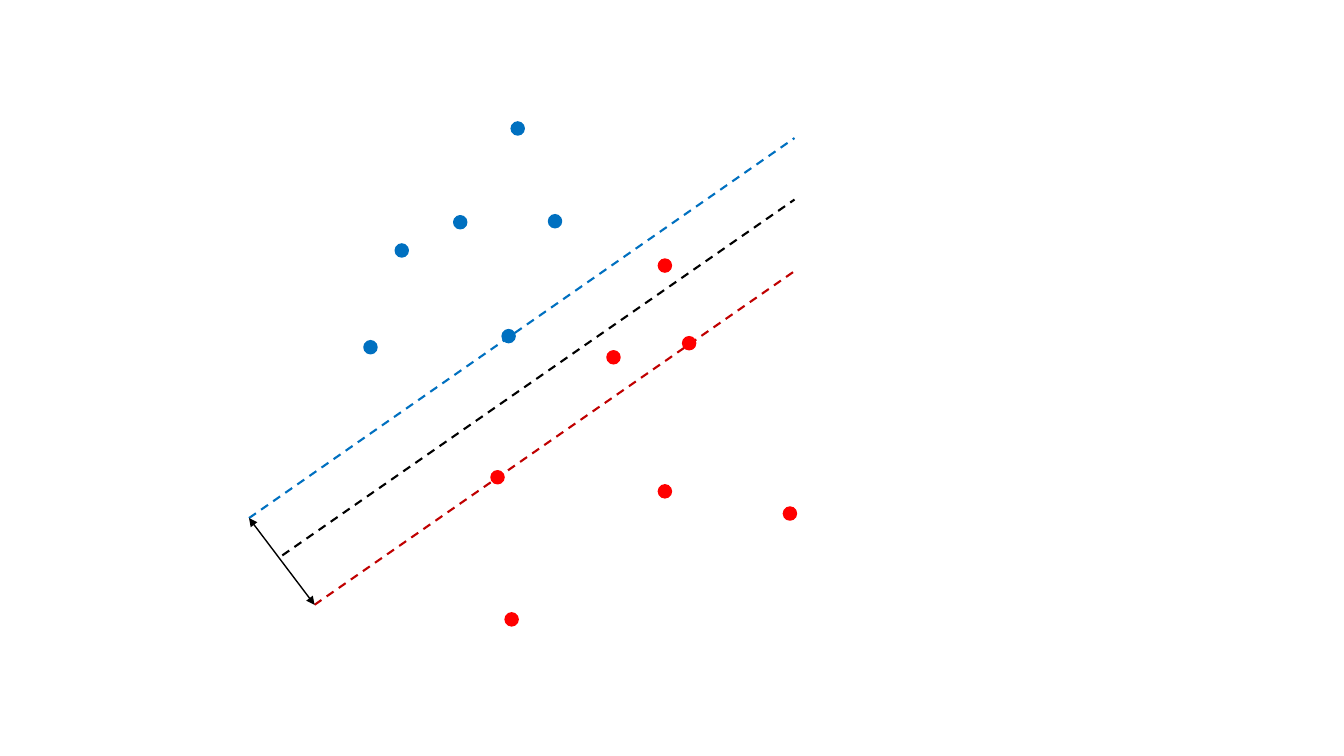
from dataclasses import dataclass

from lxml import etree
from pptx import Presentation
from pptx.dml.color import RGBColor
from pptx.enum import dml, shapes
from pptx.oxml import ns
from pptx.util import Inches, Pt


@dataclass(frozen=True)
class Theme:
    blue: str = "0070C0"
    red: str = "FF0000"
    dark_red: str = "C00000"
    black: str = "000000"
    boundary_width: float = 1.5
    thin_width: float = 1
    point_size: float = 0.13


class MarginDiagram:
    def __init__(self, slide, theme):
        self.slide = slide
        self.theme = theme

    def outline(self, line, color, width):
        line.color.rgb = RGBColor.from_string(color)
        line.width = Pt(width)

    def segment(self, start, end, color, width):
        connector = self.slide.shapes.add_connector(
            shapes.MSO_CONNECTOR.STRAIGHT, *map(Inches, (*start, *end))
        )
        self.outline(connector.line, color, width)
        etree.SubElement(connector._element.spPr, ns.qn("a:effectLst"))
        return connector

    def boundary(self, start, end, color):
        boundary = self.segment(start, end, color, self.theme.boundary_width)
        boundary.line.dash_style = dml.MSO_LINE.DASH

    def margin_arrow(self, start, end):
        arrow = self.segment(start, end, self.theme.black, self.theme.thin_width)
        stroke = arrow.line._get_or_add_ln()
        for tip in ("a:headEnd", "a:tailEnd"):
            etree.SubElement(stroke, ns.qn(tip), type="triangle")

    def point(self, left, top, color):
        size = Inches(self.theme.point_size)
        sample = self.slide.shapes.add_shape(
            shapes.MSO_SHAPE.OVAL, Inches(left), Inches(top), size, size
        )
        sample.shadow.inherit = False
        sample.fill.solid()
        sample.fill.fore_color.rgb = RGBColor.from_string(color)
        self.outline(sample.line, color, self.theme.thin_width)


def main():
    deck = Presentation()
    deck.slide_width, deck.slide_height = Inches(13.33), Inches(7.5)
    theme = Theme()
    diagram = MarginDiagram(deck.slides.add_slide(deck.slide_layouts[6]), theme)

    blue_margin_start, red_margin_start = (2.47, 5.14), (3.12, 6)
    boundary_right = 7.88
    for start, end_top, color in (
        (blue_margin_start, 1.37, theme.blue),
        ((2.8, 5.51), 1.98, theme.black),
        (red_margin_start, 2.69, theme.dark_red),
    ):
        diagram.boundary(start, (boundary_right, end_top), color)

    classes = {
        theme.blue: (
            (4.98, 3.27), (3.92, 2.42), (5.07, 1.21),
            (3.61, 3.38), (4.5, 2.14), (5.44, 2.13),
        ),
        theme.red: (
            (4.87, 4.67), (5.01, 6.08), (6.77, 3.34), (7.77, 5.03),
            (6.53, 4.81), (6.02, 3.48), (6.53, 2.57),
        ),
    }
    for color, positions in classes.items():
        for left, top in positions:
            diagram.point(left, top, color)

    diagram.margin_arrow(blue_margin_start, red_margin_start)
    deck.save("out.pptx")


if __name__ == "__main__":
    main()
